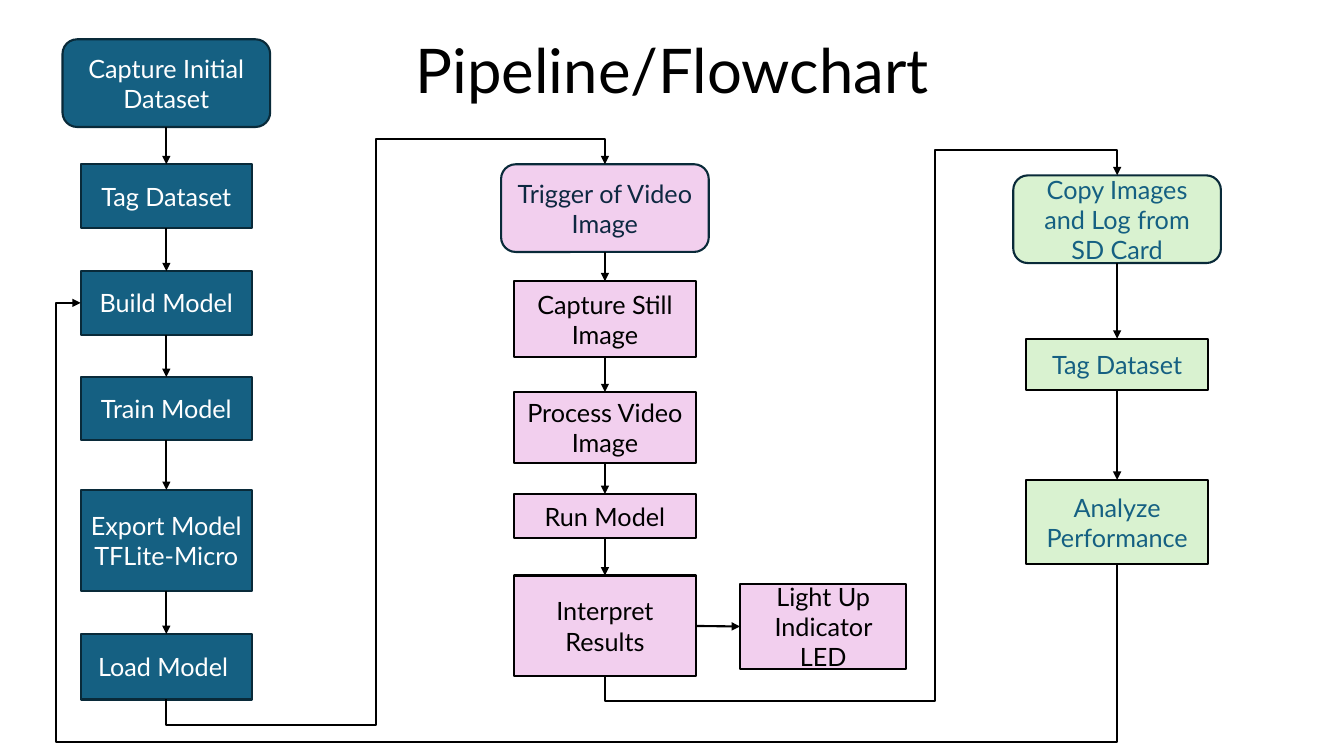
from lxml import etree
from pptx import Presentation
from pptx.dml.color import RGBColor
from pptx.enum import shapes, text
from pptx.oxml import ns
from pptx.util import Inches, Pt

FONT = "Lato"
BLACK = RGBColor(0x00, 0x00, 0x00)
WHITE = RGBColor(0xFF, 0xFF, 0xFF)
BLUE = RGBColor(0x15, 0x60, 0x82)
NAVY = RGBColor(0x0E, 0x28, 0x41)
OUTLINE = RGBColor(0x09, 0x2A, 0x39)
PINK = RGBColor(0xF2, 0xCF, 0xEE)
GREEN = RGBColor(0xD9, 0xF2, 0xD0)

# Content: each stage opens with a rounded step; steps are (label, top, height)
TITLE = "Pipeline/Flowchart"
START_SIZE = (2.06, 0.87)
STAGES = [
    {"center": 1.65, "width": 1.7, "fill": BLUE, "line": OUTLINE,
     "start_ink": WHITE, "ink": WHITE, "steps": [
         ("Capture Initial Dataset", 0.39, START_SIZE[1]),
         ("Tag Dataset", 1.63, 0.63),
         ("Build Model", 2.69, 0.63),
         ("Train Model", 3.74, 0.63),
         ("Export Model\nTFLite-Micro", 4.86, 1),
         ("Load Model ", 6.29, 0.65)]},
    {"center": 6, "width": 1.81, "fill": PINK, "line": BLACK,
     "start_ink": NAVY, "ink": BLACK, "steps": [
         ("Trigger of Video Image", 1.63, START_SIZE[1]),
         ("Capture Still Image", 2.79, 0.75),
         ("Process Video Image", 3.89, 0.7),
         ("Run Model", 4.9, 0.44),
         ("Interpret Results", 5.71, 1)]},
    {"center": 11.08, "width": 1.81, "fill": GREEN, "line": BLACK,
     "start_ink": BLUE, "ink": BLUE, "steps": [
         ("Copy Images and Log from SD Card", 1.74, START_SIZE[1]),
         ("Tag Dataset", 3.36, 0.51),
         ("Analyze Performance", 4.76, 0.84)]},
]
INDICATOR = ("Light Up Indicator LED", 7.34, 5.79, 1.65, 0.85)

TOP, LEFT, BOTTOM, RIGHT = range(4)  # connection sites
STUB = 0.25  # distance a route runs beyond a step before turning

prs = Presentation()
prs.slide_width, prs.slide_height = Inches(13.33), Inches(7.5)
slide = prs.slides.add_slide(prs.slide_layouts[6])


def write(frame, words, size, ink):
    frame.word_wrap = True
    frame.vertical_anchor = text.MSO_ANCHOR.MIDDLE
    frame.text = words
    for paragraph in frame.paragraphs:
        paragraph.alignment = text.PP_ALIGN.CENTER
        paragraph.font.name = FONT
        paragraph.font.size = Pt(size)
        paragraph.font.color.rgb = ink


def add_step(label, left, top, width, height, fill, line, ink, rounded=False):
    preset = shapes.MSO_SHAPE.ROUNDED_RECTANGLE if rounded else shapes.MSO_SHAPE.RECTANGLE
    step = slide.shapes.add_shape(preset, Inches(left), Inches(top),
                                  Inches(width), Inches(height))
    step.shadow.inherit = False
    step.fill.solid()
    step.fill.fore_color.rgb = fill
    step.line.color.rgb = line
    step.line.width = Pt(1.5)
    write(step.text_frame, label, 18, ink)
    return step


def add_arrow(source, source_site, target, target_site, kind=shapes.MSO_CONNECTOR.STRAIGHT):
    arrow = slide.shapes.add_connector(kind, 0, 0, 0, 0)
    arrow.begin_connect(source, source_site)
    arrow.end_connect(target, target_site)
    arrow.line.color.rgb = BLACK
    arrow.line.width = Pt(1.5)
    etree.SubElement(arrow.line._get_or_add_ln(), ns.qn("a:tailEnd"), type="triangle")
    etree.SubElement(arrow._element.spPr, ns.qn("a:effectLst"))
    return arrow


def add_route(source, target, target_site, preset, turns):
    """Elbow arrow leaving the bottom of source; turns alternate y, x, y."""
    route = add_arrow(source, BOTTOM, target, target_site, shapes.MSO_CONNECTOR.ELBOW)
    x1, y1, x2, y2 = route.begin_x, route.begin_y, route.end_x, route.end_y
    rise, run = abs(y2 - y1), abs(x2 - x1)
    # The elbow is laid out sideways, then turned a quarter about its centre
    xfrm = route._element.spPr.find(ns.qn("a:xfrm"))
    xfrm.set("rot", "5400000")
    xfrm.set("flipH", "1")
    xfrm.set("flipV", "1" if x2 > x1 else "0")
    route.left, route.top = (x1 + x2 - rise) // 2, (y1 + y2 - run) // 2
    route.width, route.height = rise, run
    geometry = route._element.spPr.find(ns.qn("a:prstGeom"))
    geometry.set("prst", preset)
    guides = geometry.find(ns.qn("a:avLst"))
    for number, turn in enumerate(turns, 1):
        begin, end = (y1, y2) if number % 2 else (x1, x2)
        share = round((Inches(turn) - begin) / (end - begin) * 100000)
        etree.SubElement(guides, ns.qn("a:gd"), name=f"adj{number}", fmla=f"val {share}")


# Title
title = slide.shapes.add_textbox(Inches(0.92), 0, Inches(11.5), Inches(1.45))
write(title.text_frame, TITLE, 44, BLACK)
title.text_frame.paragraphs[0].line_spacing = 0.9

# Stages, each a column of steps joined downwards
columns = []
for stage in STAGES:
    column = []
    for index, (label, top, height) in enumerate(stage["steps"]):
        first = index == 0
        width = START_SIZE[0] if first else stage["width"]
        column.append(add_step(
            label, stage["center"] - width / 2, top, width, height, stage["fill"],
            OUTLINE if first else stage["line"],
            stage["start_ink"] if first else stage["ink"], first))
    for upper, lower in zip(column, column[1:]):
        add_arrow(upper, BOTTOM, lower, TOP)
    columns.append(column)
training, inference, review = columns

# Indicator beside the results
indicator = add_step(*INDICATOR, PINK, BLACK, BLACK)
add_arrow(inference[-1], RIGHT, indicator, LEFT)

# Routes between stages, and the loop back to building the model
for before, after, lane in [(training, inference, 3.73), (inference, review, 9.27)]:
    last, first = before[-1], after[0]
    below = (last.top + last.height) / Inches(1) + STUB
    above = first.top / Inches(1) - STUB
    add_route(last, first, TOP, "bentConnector5", (below, lane, above))
add_route(review[-1], training[2], LEFT, "bentConnector4", (7.36, 0.55))

prs.save("out.pptx")
